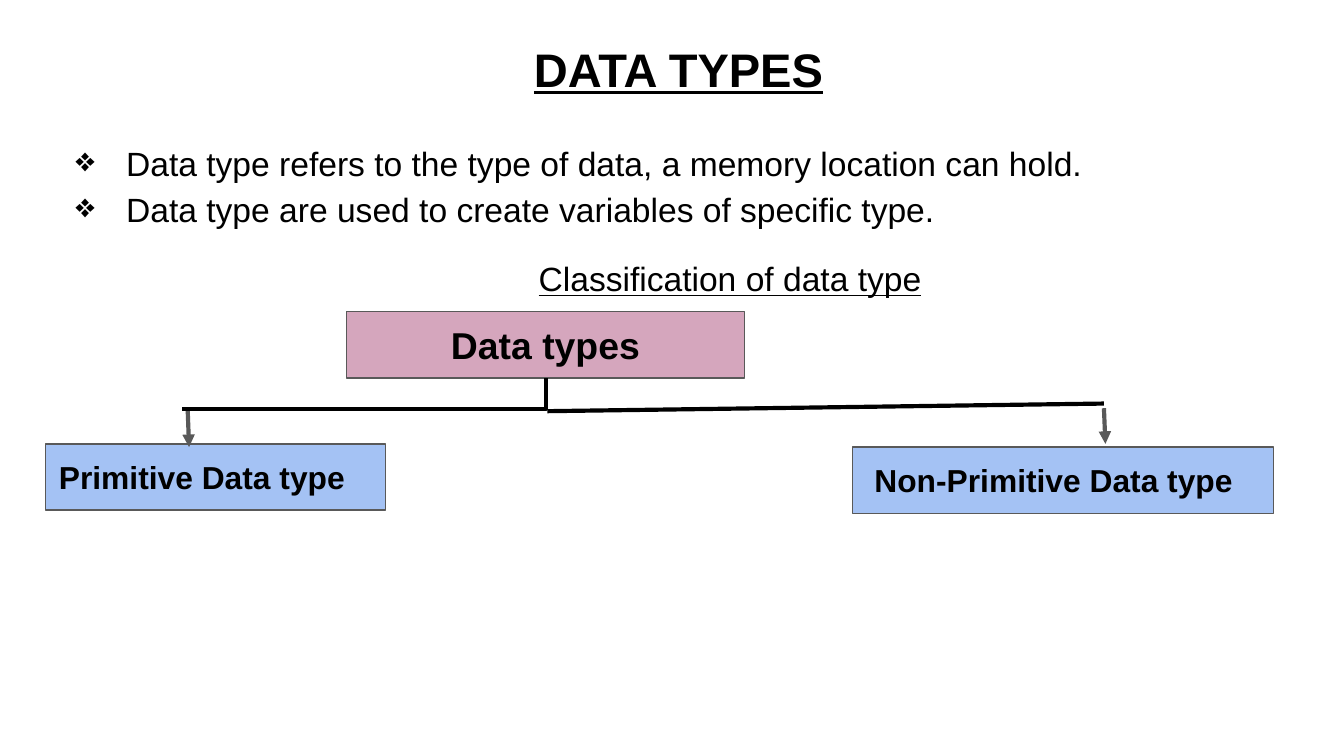
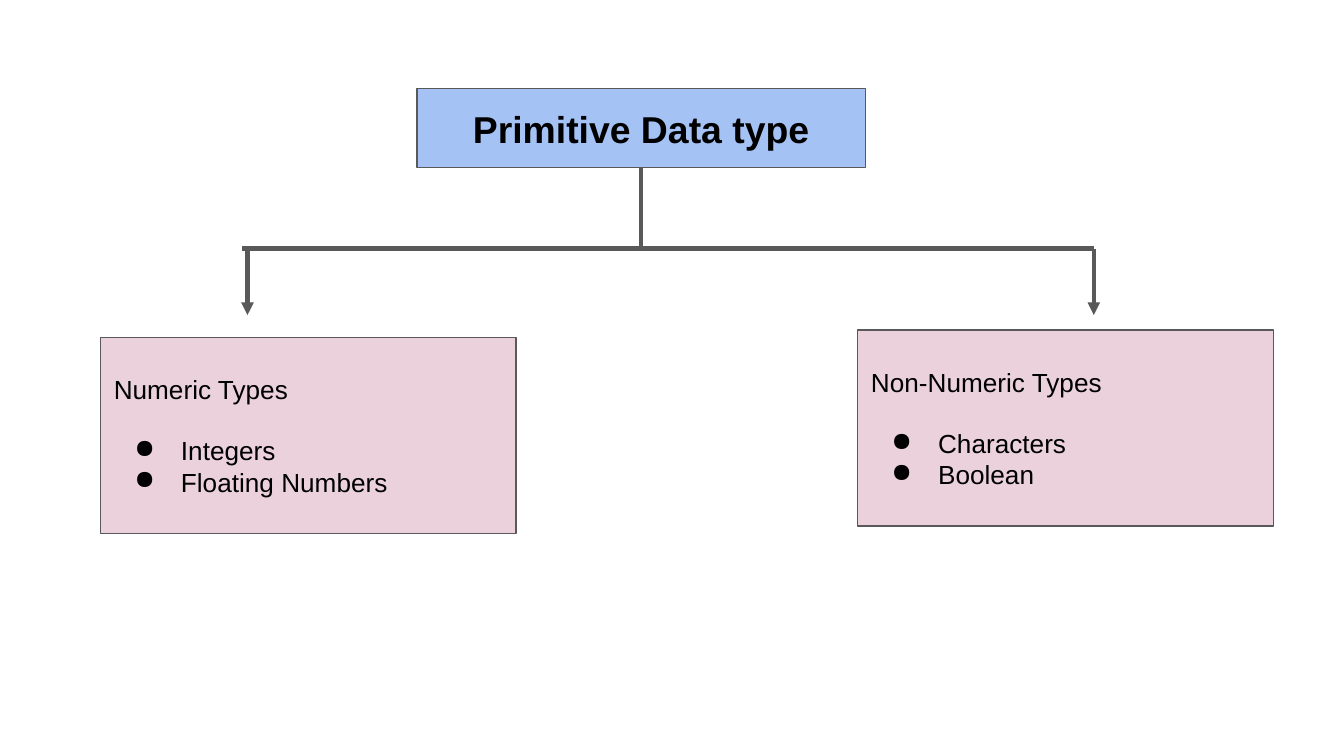
from lxml import etree
from pptx import Presentation
from pptx.dml.color import RGBColor
from pptx.enum.shapes import MSO_CONNECTOR as CONN, MSO_SHAPE as SHAPE
from pptx.enum.text import MSO_ANCHOR as ANCHOR, MSO_AUTO_SIZE as FIT, PP_ALIGN as ALIGN
from pptx.oxml.ns import qn
from pptx.util import Pt

BLACK, GREY, BLUE, PINK, PALE = "000000", "595959", "A4C2F4", "D5A6BD", "EAD1DC"
rgb = RGBColor.from_string


def write(shape, paras, anchor=ANCHOR.TOP):
    """Fill a shape with (text, format) pairs."""
    tf = shape.text_frame
    for name, value in dict(word_wrap=True, auto_size=FIT.NONE, vertical_anchor=anchor,
                            margin_left=Pt(7.2), margin_right=Pt(7.2),
                            margin_top=Pt(7.2), margin_bottom=Pt(7.2)).items():
        setattr(tf, name, value)
    for i, (text, fmt) in enumerate(paras):
        p = tf.add_paragraph() if i else tf.paragraphs[0]
        p.alignment = fmt.get("align", ALIGN.LEFT)
        p.line_spacing = fmt.get("spacing", 1.0)
        p.space_before = Pt(fmt.get("before", 0))
        pPr = p._p.get_or_add_pPr()
        pPr.set("marL", str(Pt(fmt.get("left", 0))))
        pPr.set("indent", str(Pt(fmt.get("indent", 0))))
        if "bullet" in fmt:
            clr = etree.SubElement(pPr, qn("a:buClr"))
            etree.SubElement(clr, qn("a:srgbClr"), val=BLACK)
            etree.SubElement(pPr, qn("a:buChar"), char=fmt["bullet"])
        r = p.add_run()
        r.text = text
        for name, value in dict(name="Arial", size=Pt(fmt["size"]), bold=fmt.get("bold", False),
                                underline=fmt.get("underline", False)).items():
            setattr(r.font, name, value)
        r.font.color.rgb = rgb(fmt.get("color", BLACK))


def line(s, ends, color, arrow=False, elbow=False):
    """Draw a line; an elbow goes down from its start and then left to its end."""
    x1, y1, x2, y2 = ends
    if elbow:  # a quarter turn swaps width and height about the centre
        cx, cy, w, h = (x1 + x2) / 2, (y1 + y2) / 2, y2 - y1, x1 - x2
        x1, y1, x2, y2 = cx - w / 2, cy - h / 2, cx + w / 2, cy + h / 2
    c = s.shapes.add_connector(CONN.ELBOW if elbow else CONN.STRAIGHT,
                               Pt(x1), Pt(y1), Pt(x2), Pt(y2))
    c.line.color.rgb = rgb(color)
    c.line.width = Pt(2.25)
    spPr = c._element.spPr
    if elbow:
        spPr.find(qn("a:xfrm")).set("rot", "5400000")
        spPr.find(qn("a:prstGeom")).set("prst", "bentConnector2")
    if arrow:
        etree.SubElement(c.line._get_or_add_ln(), qn("a:tailEnd"), type="triangle")
    etree.SubElement(spPr, qn("a:effectLst"))


prs = Presentation()
prs.slide_width, prs.slide_height = Pt(720), Pt(405)
s1 = prs.slides.add_slide(prs.slide_layouts[5])
s2 = prs.slides.add_slide(prs.slide_layouts[6])

# Slide 1: title and definition
title = s1.shapes.title
title.left, title.top, title.width, title.height = Pt(28), Pt(14.4), Pt(671), Pt(45.4)
write(title, [("DATA TYPES", dict(size=25.2, bold=True, underline=True, align=ALIGN.CENTER))])
point = dict(size=18, spacing=1.15, left=36, indent=-27, bullet="❖")
body = s1.shapes.add_textbox(Pt(24.5), Pt(66.2), Pt(671), Pt(324.7))
write(body, [("Data type refers to the type of data, a memory location can hold.", point),
             ("Data type are used to create variables of specific type.", point),
             ("Classification of data type",
              dict(size=18, spacing=1.15, before=12, left=257, underline=True))])

# Boxes of both trees
root = dict(size=20, bold=True, align=ALIGN.CENTER)
branch = dict(size=17, bold=True)
head = dict(size=14)
item = dict(size=14, left=36, indent=-25, bullet="●")
first = dict(item, before=16)
for s, place, fill, paras in [
    (s1, (185.8, 167, 213, 35.5), PINK, [("Data types", root)]),
    (s1, (24.5, 237.8, 182.2, 35.5), BLUE, [("Primitive Data type", branch)]),
    (s1, (456.6, 239.5, 225.6, 35.5), BLUE,
     [("Non-Primitive Data type", dict(branch, left=4.7))]),
    (s2, (223.3, 47.4, 240.4, 42.5), BLUE, [("Primitive Data type", root)]),
    (s2, (459.5, 176.8, 222.7, 105), PALE,
     [("Non-Numeric Types", head), ("Characters", first), ("Boolean", item)]),
    (s2, (53.9, 180.8, 222.7, 105), PALE,
     [("Numeric Types", head), ("Integers", first), ("Floating Numbers", item)]),
]:
    box = s.shapes.add_shape(SHAPE.RECTANGLE, *map(Pt, place))
    box.shadow.inherit = False
    box.fill.solid()
    box.fill.fore_color.rgb = rgb(fill)
    box.line.color.rgb = rgb(GREY)
    box.line.width = Pt(0.75)
    write(box, paras, ANCHOR.MIDDLE)

# Branches: elbow to the left, line to the right, two arrows
for s, color, elbow, right, arrows in [
    (s1, BLACK, (292.3, 202.5, 97.4, 219.3), (293.3, 220.3, 591.4, 216.2),
     [(100.6, 220.3, 101.3, 239.5), (591.4, 218.7, 592.2, 237.8)]),
    (s2, GREY, (343.5, 89.9, 129.4, 133.2), (343.5, 133.2, 586, 133.2),
     [(x, 133.2, x, 168.8) for x in (132.6, 586)]),
]:
    line(s, elbow, color, elbow=True)
    line(s, right, color)
    for ends in arrows:
        line(s, ends, GREY, arrow=True)

prs.save("out.pptx")
